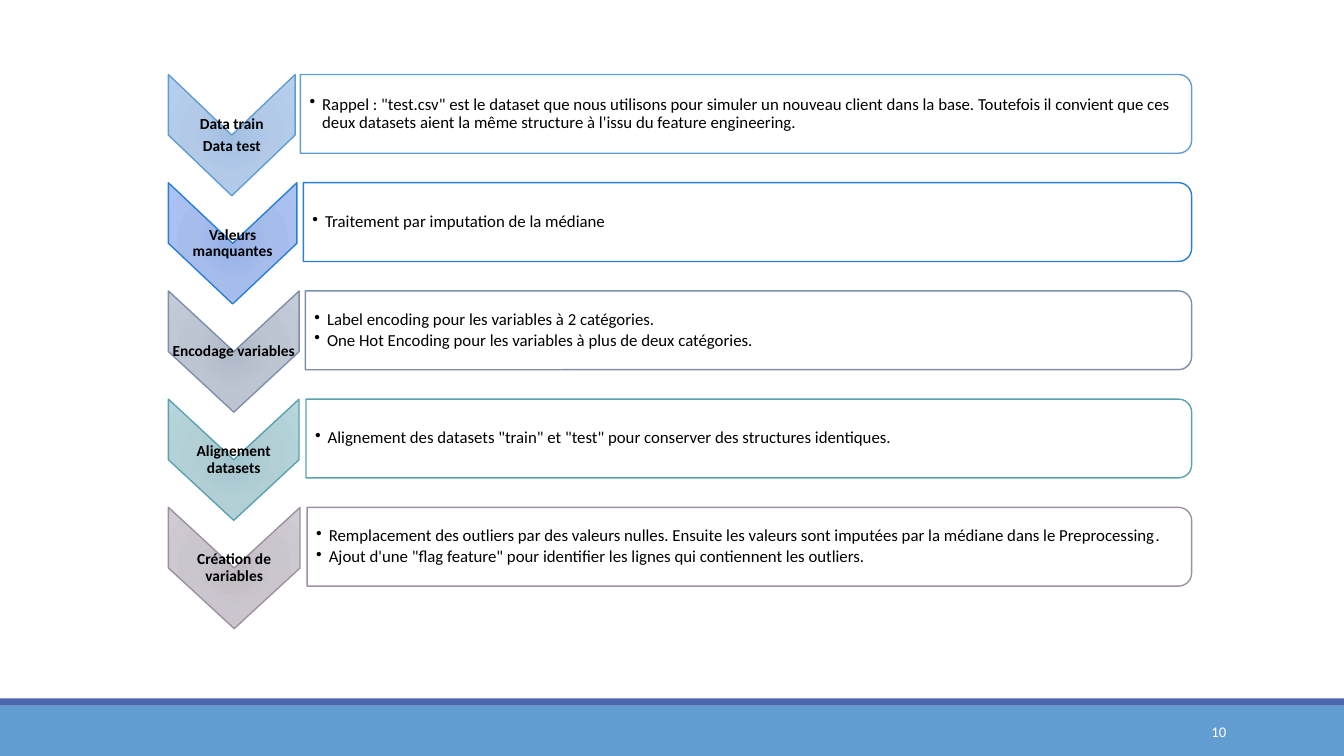
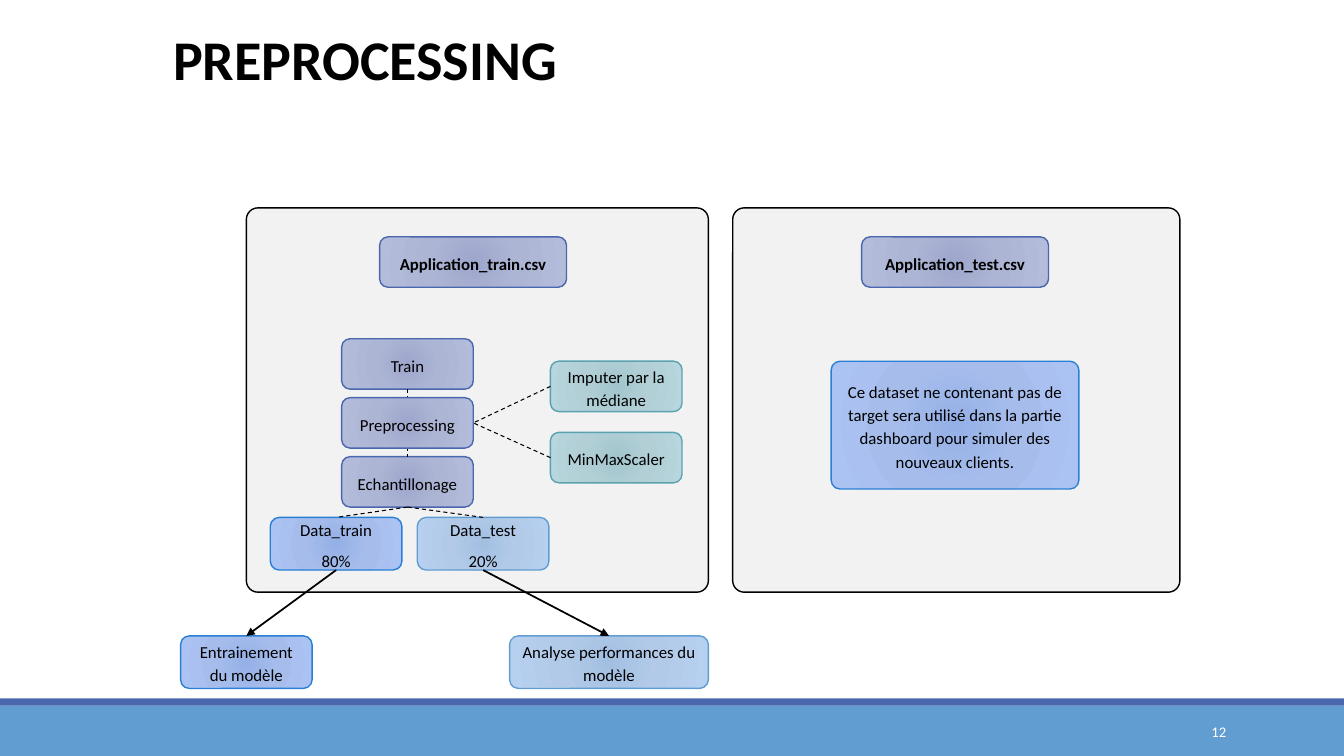
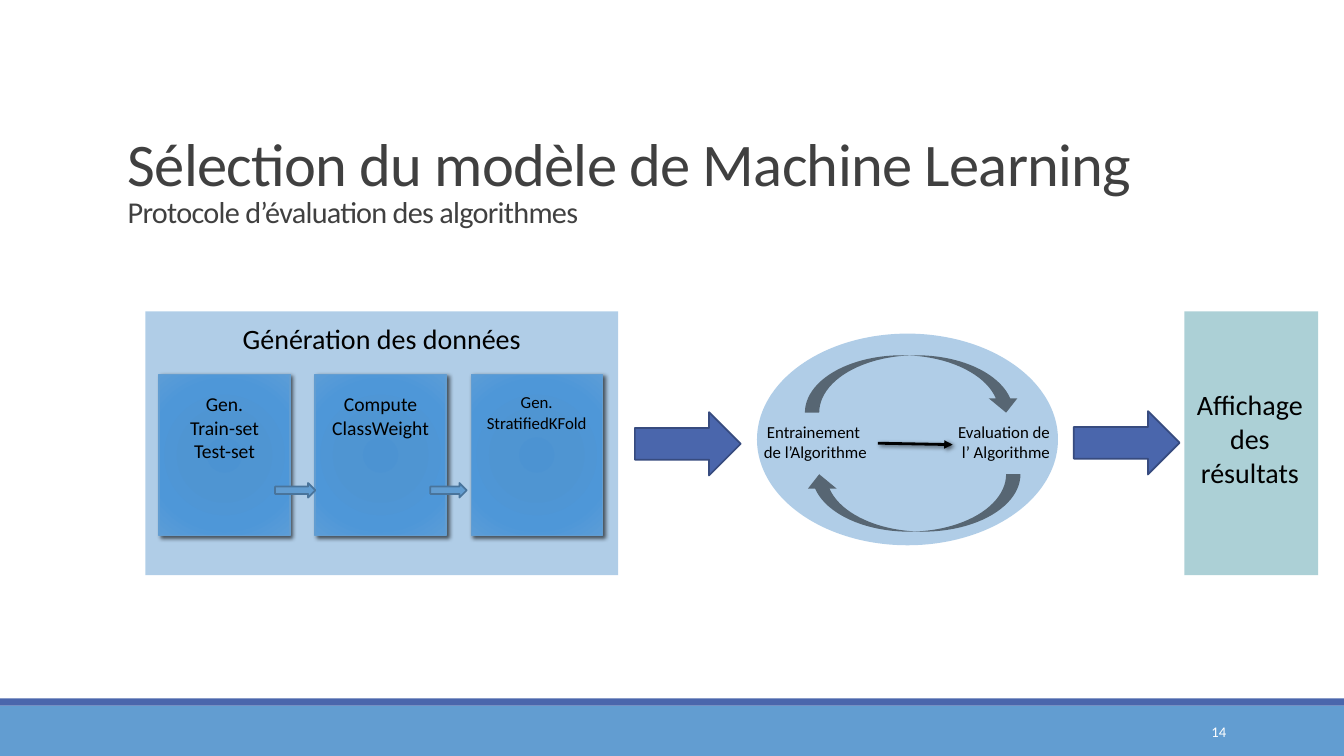
from copy import deepcopy
from dataclasses import dataclass
from typing import Any, NamedTuple, Optional, Sequence, Union

from lxml.etree import SubElement
from pptx import Presentation
from pptx.dml.color import RGBColor
from pptx.enum.dml import MSO_LINE_DASH_STYLE as Dash
from pptx.enum.shapes import MSO_AUTO_SHAPE_TYPE as Kind, MSO_CONNECTOR as Link
from pptx.enum.text import MSO_VERTICAL_ANCHOR as Anchor, PP_PARAGRAPH_ALIGNMENT as Align
from pptx.oxml.ns import qn
from pptx.util import Pt

BLACK = RGBColor(0x00, 0x00, 0x00)
WHITE = RGBColor(0xFF, 0xFF, 0xFF)
TITLE_GREY = RGBColor(0x40, 0x40, 0x40)
PANEL_GREY = RGBColor(0xF2, 0xF2, 0xF2)
SKY = RGBColor(0x62, 0x9D, 0xD1)
SKY_EDGE = RGBColor(0x49, 0x74, 0x9B)
AZURE = RGBColor(0x29, 0x7F, 0xD5)
SLATE = RGBColor(0x7F, 0x8F, 0xA9)
TEAL = RGBColor(0x5A, 0xA2, 0xAE)
MAUVE = RGBColor(0x9D, 0x90, 0xA0)
INDIGO = RGBColor(0x4A, 0x66, 0xAC)
INDIGO_EDGE = RGBColor(0x37, 0x4B, 0x7F)

FONT = "Calibri"
TOP, LEFT, BOTTOM, RIGHT = 0, 1, 2, 3


class Area(NamedTuple):
    left: float
    top: float
    width: float
    height: float


class Tone(NamedTuple):
    line: RGBColor
    stops: tuple[tuple[int, RGBColor], ...]


def soft_tone(line: RGBColor, inner: RGBColor, middle: RGBColor, outer: RGBColor) -> Tone:
    return Tone(line, ((0, inner), (45, middle), (100, outer)))


SKY_TONE = soft_tone(SKY, RGBColor(0xA2, 0xBF, 0xE2), RGBColor(0xB2, 0xCA, 0xE8), RGBColor(0xB6, 0xD0, 0xEF))
AZURE_TONE = soft_tone(AZURE, RGBColor(0x94, 0xB0, 0xE6), RGBColor(0xA6, 0xBD, 0xEC), RGBColor(0xAB, 0xC3, 0xF3))
SLATE_TONE = soft_tone(SLATE, RGBColor(0xB0, 0xB9, 0xC8), RGBColor(0xBD, 0xC5, 0xD2), RGBColor(0xC3, 0xCB, 0xD8))
TEAL_TONE = soft_tone(TEAL, RGBColor(0xA2, 0xC5, 0xCD), RGBColor(0xB1, 0xCF, 0xD5), RGBColor(0xB7, 0xD6, 0xDD))
MAUVE_TONE = soft_tone(MAUVE, RGBColor(0xC0, 0xB9, 0xC2), RGBColor(0xCB, 0xC5, 0xCD), RGBColor(0xD1, 0xCB, 0xD3))
INDIGO_TONE = soft_tone(INDIGO, RGBColor(0x9E, 0xA7, 0xCC), RGBColor(0xAD, 0xB5, 0xD5), RGBColor(0xB4, 0xBC, 0xDC))
CARD_TONE = Tone(SKY, ((0, RGBColor(0x4C, 0x93, 0xD2)), (34, RGBColor(0x4F, 0x95, 0xD2)),
                       (70, RGBColor(0x4E, 0x97, 0xD8)), (100, RGBColor(0x5C, 0x9D, 0xD7))))


@dataclass(frozen=True)
class Step:
    heading: tuple[str, ...]
    details: tuple[str, ...]
    tone: Tone
    chevron_width: float
    detail_left: float


@dataclass(frozen=True)
class Node:
    label: tuple[str, ...]
    area: Area
    tone: Tone
    after: float = 10
    bold: bool = False
    corner: Optional[float] = None


@dataclass(frozen=True)
class Card:
    label: tuple[str, ...]
    size: float


@dataclass(frozen=True)
class FlowArrow:
    area: Area
    fill: RGBColor
    edge: RGBColor


def set_values(target: Any, values: dict[str, Any]) -> None:
    for name, value in values.items():
        setattr(target, name, value)


def style_run(run: Any, size: float, color: RGBColor = BLACK, bold: bool = False, italic: bool = False) -> None:
    set_values(run.font, {"name": FONT, "size": Pt(size), "bold": bold, "italic": italic})
    run.font.color.rgb = color


def write(shape: Any, texts: Sequence[str], size: float, color: RGBColor = BLACK, bold: bool = False,
          layout: Optional[dict[str, Any]] = None, frame: Optional[dict[str, Any]] = None) -> Any:
    body = shape.text_frame
    set_values(body, {"word_wrap": True, "vertical_anchor": Anchor.TOP, **(frame or {})})
    for index, text in enumerate(texts):
        paragraph = body.paragraphs[0] if index == 0 else body.add_paragraph()
        paragraph.text = text
        set_values(paragraph, {"alignment": Align.CENTER, **(layout or {})})
        for run in paragraph.runs:
            style_run(run, size, color, bold)
        for line_break in paragraph._p.findall(qn("a:br")):
            line_break.append(deepcopy(paragraph.runs[0].font._element
                                       if hasattr(paragraph.runs[0].font, "_element")
                                       else paragraph.runs[0]._r.find(qn("a:rPr"))))
    return body


def add_text(slide: Any, area: Area) -> Any:
    return slide.shapes.add_textbox(*map(Pt, area))


def paint_gradient(shape: Any, tone: Tone) -> None:
    shape.fill.gradient()
    gradient = shape._element.spPr.find(qn("a:gradFill"))
    for child in list(gradient):
        gradient.remove(child)
    stops = SubElement(gradient, qn("a:gsLst"))
    for position, color in tone.stops:
        stop = SubElement(stops, qn("a:gs"), pos=str(position * 1000))
        SubElement(stop, qn("a:srgbClr"), val=str(color))
    circle = SubElement(gradient, qn("a:path"), {"path": "circle"})
    SubElement(circle, qn("a:fillToRect"), {side: "100000" for side in "ltrb"})


def add_shape(slide: Any, kind: Kind, area: Area, fill: Union[RGBColor, Tone], line: Optional[RGBColor] = None,
              width: float = 1, opacity: int = 100, corner: Optional[float] = None) -> Any:
    shape = slide.shapes.add_shape(kind, *map(Pt, area))
    shape.shadow.inherit = False
    if isinstance(fill, Tone):
        paint_gradient(shape, fill)
        line = fill.line
    else:
        shape.fill.solid()
        shape.fill.fore_color.rgb = fill
        if opacity < 100:
            color = shape._element.spPr.find(qn("a:solidFill"))[0]
            SubElement(color, qn("a:alpha"), val=str(opacity * 1000))
    if line is None:
        shape.line.fill.background()
    else:
        shape.line.color.rgb = line
        shape.line.width = Pt(width)
    if corner is not None:
        shape.adjustments[0] = corner
    return shape


def add_turned(slide: Any, kind: Kind, seen: Area, fill: Union[RGBColor, Tone], turn: int = 90, **options: Any) -> Any:
    shift = (seen.width - seen.height) / 2
    area = Area(seen.left + shift, seen.top - shift, seen.height, seen.width)
    shape = add_shape(slide, kind, area, fill, **options)
    shape.rotation = turn
    return shape


def cast_shadow(shape: Any) -> None:
    effects = shape._element.spPr.find(qn("a:effectLst"))
    shadow = SubElement(effects, qn("a:outerShdw"), blurRad=str(Pt(3)), dist=str(Pt(2)),
                        dir=str(45 * 60000), algn="tl", rotWithShape="0")
    color = SubElement(shadow, qn("a:srgbClr"), val=str(BLACK))
    SubElement(color, qn("a:alpha"), val="60000")


def add_line(slide: Any, start: tuple[float, float], end: tuple[float, float], width: float,
             arrow: bool = False) -> Any:
    line = slide.shapes.add_connector(Link.STRAIGHT, *map(Pt, (*start, *end)))
    line.line.color.rgb = BLACK
    line.line.width = Pt(width)
    if arrow:
        SubElement(line._element.spPr.find(qn("a:ln")), qn("a:tailEnd"), type="triangle")
    else:
        line.line.dash_style = Dash.DASH
    SubElement(line._element.spPr, qn("a:effectLst"))
    return line


def join(slide: Any, start: Any, start_side: int, end: Any, end_side: int, arrow: bool = False) -> None:
    line = add_line(slide, (0, 0), (0, 0), 1.25 if arrow else 0.75, arrow)
    line.begin_connect(start, start_side)
    line.end_connect(end, end_side)


def start_slide(deck: Any) -> Any:
    slide = deck.slides.add_slide(deck.slide_layouts[6])
    add_shape(slide, Kind.RECTANGLE, Area(0, 504, 960, 36), SKY)
    add_shape(slide, Kind.RECTANGLE, Area(0, 498.75, 960, 5.25), INDIGO)
    return slide


def number_slide(slide: Any, number: int) -> None:
    write(add_text(slide, Area(780, 508.3, 103, 28.8)), [str(number)], 10.5, WHITE,
          layout={"alignment": Align.RIGHT}, frame={"vertical_anchor": Anchor.MIDDLE})


STEPS = (
    Step(("Data train", "Data test"),
         ("Rappel : \"test.csv\" est le dataset que nous utilisons pour simuler un nouveau client dans la base. "
          "Toutefois il convient que ces deux datasets aient la même structure à l'issu du feature engineering.",),
         SKY_TONE, 90.5, 214.6),
    Step(("Valeurs manquantes",), ("Traitement par imputation de la médiane",), AZURE_TONE, 91.8, 216.7),
    Step(("Encodage variables",),
         ("Label encoding pour les variables à 2 catégories.",
          "One Hot Encoding pour les variables à plus de deux catégories."), SLATE_TONE, 93.4, 218.1),
    Step(("Alignement datasets",),
         ("Alignement des datasets \"train\" et \"test\" pour conserver des structures identiques.",),
         TEAL_TONE, 93.3, 218.6),
    Step(("Création de variables",),
         ("Remplacement des outliers par des valeurs nulles. Ensuite les valeurs sont imputées par la médiane "
          "dans le Preprocessing",
          "Ajout d'une \"flag feature\" pour identifier les lignes qui contiennent les outliers."),
         MAUVE_TONE, 94, 219.4),
)


def build_feature_steps(deck: Any) -> None:
    slide = start_slide(deck)
    tight = {f"margin_{side}": Pt(0.7) for side in ("left", "top", "right", "bottom")}
    tight["vertical_anchor"] = Anchor.MIDDLE
    for index, step in enumerate(STEPS):
        top = 53.2 + 77.3 * index
        chevron = Area(120.3, top, step.chevron_width, 86.6)
        detail = Area(step.detail_left, top, 851.2 - step.detail_left, 56.3)
        add_turned(slide, Kind.CHEVRON, chevron, step.tone)
        write(add_text(slide, chevron), step.heading, 11, bold=True, frame=tight,
              layout={"line_spacing": 0.9, "space_after": Pt(3.85)})
        add_turned(slide, Kind.ROUND_2_SAME_RECTANGLE, detail, WHITE, line=step.tone.line, opacity=90)
        inner = Area(detail.left, top + 2.8, detail.width - 2.8, 50.7)
        body = write(add_text(slide, inner), step.details, 12, frame={**tight, "margin_left": Pt(6.5)},
                     layout={"alignment": Align.LEFT, "line_spacing": 0.9, "space_after": Pt(1.8)})
        for paragraph in body.paragraphs:
            properties = paragraph._p.get_or_add_pPr()
            properties.set("marL", str(Pt(9)))
            properties.set("indent", str(Pt(-9)))
            SubElement(properties, qn("a:buChar"), char="•")
    full_stop = body.paragraphs[0].add_run()
    full_stop.text = "."
    style_run(full_stop, 12, italic=True)
    number_slide(slide, 10)


def add_node(slide: Any, node: Node) -> Any:
    shape = add_shape(slide, Kind.ROUNDED_RECTANGLE, node.area, node.tone, corner=node.corner)
    write(shape, node.label, 12, bold=node.bold, frame={"vertical_anchor": Anchor.MIDDLE},
          layout={"line_spacing": 1.15, "space_before": Pt(5), "space_after": Pt(node.after)})
    return shape


def build_preprocessing(deck: Any) -> None:
    slide = start_slide(deck)
    for panel in (Area(523.4, 148.5, 319.4, 274.5), Area(176, 148.5, 330, 274.5)):
        add_shape(slide, Kind.ROUNDED_RECTANGLE, panel, PANEL_GREY, BLACK, corner=0.03)
    write(add_text(slide, Area(116.6, 0, 789, 83.5)), ["PREPROCESSING"], 40, bold=True,
          layout={"alignment": Align.LEFT}, frame={"vertical_anchor": Anchor.MIDDLE})

    width, height, tall = 94, 36, 37.6
    stage_left, stage_top, stage_pitch = 244.1, 242, 42.1
    train, preprocessing, sampling = (
        Node((label,), Area(stage_left, stage_top + stage_pitch * row, width, height), INDIGO_TONE)
        for row, label in enumerate(("Train", "Preprocessing", "Echantillonage")))
    sampling_box = add_node(slide, sampling)
    train_box = add_node(slide, train)
    join(slide, train_box, BOTTOM, sampling_box, TOP)
    preprocessing_box = add_node(slide, preprocessing)

    data_train, data_test, imputer, scaler, training, analysis, *_ = [add_node(slide, node) for node in (
        Node(("Data_train", "80%"), Area(193.1, 369.6, width, tall), AZURE_TONE, 0),
        Node(("Data_test", "20%"), Area(298.1, 369.6, width, tall), SKY_TONE, 0),
        Node(("Imputer par la médiane",), Area(393.2, 258, width, height), TEAL_TONE),
        Node(("MinMaxScaler",), Area(393.2, 308.9, width, height), TEAL_TONE),
        Node(("Entrainement du modèle",), Area(129, 454.2, width, tall), AZURE_TONE, 0),
        Node(("Analyse performances du modèle",), Area(364, 454.2, 142, tall), SKY_TONE, 0),
        Node(("Application_train.csv",), Area(271.2, 169.2, 133.5, height), INDIGO_TONE, bold=True),
        Node(("Application_test.csv",), Area(615.5, 169.2, 133.5, height), INDIGO_TONE, bold=True),
        Node(("Ce dataset ne contenant pas de target sera utilisé dans la partie dashboard "
              "pour simuler des nouveaux clients.",), Area(593.7, 258, 177, 91.3), AZURE_TONE, corner=0.07),
    )]
    for sample, outcome in ((data_train, training), (data_test, analysis)):
        join(slide, sampling_box, BOTTOM, sample, TOP)
        join(slide, sample, BOTTOM, outcome, TOP, arrow=True)
    for transform in (imputer, scaler):
        join(slide, transform, LEFT, preprocessing_box, RIGHT)
    number_slide(slide, 12)


CARDS = (
    Card(("Gen.\nTrain-set", "Test-set"), 14),
    Card(("Compute\nClassWeight",), 14),
    Card(("Gen.\nStratifiedKFold",), 12),
)

FLOW_ARROWS = (
    FlowArrow(Area(453.5, 294.4, 75.6, 45.2), INDIGO, INDIGO_EDGE),
    FlowArrow(Area(767, 293.7, 75.6, 45.2), INDIGO, INDIGO_EDGE),
    FlowArrow(Area(196.5, 345, 28.8, 10.4), SKY, SKY_EDGE),
    FlowArrow(Area(307.4, 345, 26, 10.4), SKY, SKY_EDGE),
)


def build_model_selection(deck: Any) -> None:
    slide = start_slide(deck)
    title = write(add_text(slide, Area(84.2, 53.3, 792, 114.5)), ["Sélection du modèle de Machine Learning\n"], 43.2,
                  TITLE_GREY, layout={"alignment": Align.LEFT, "line_spacing": 0.85},
                  frame={"vertical_anchor": Anchor.BOTTOM})
    subtitle = title.paragraphs[0].add_run()
    subtitle.text = "Protocole d’évaluation des algorithmes"
    style_run(subtitle, 21.6, TITLE_GREY)
    for run in title.paragraphs[0].runs:
        run._r.get_or_add_rPr().set("spc", "-50")

    generation = add_shape(slide, Kind.RECTANGLE, Area(103.8, 222.4, 337.8, 188.4), SKY, opacity=50)
    write(generation, ["Génération des données"], 20, frame={"margin_top": Pt(7.2)})
    for index, card in enumerate(CARDS):
        box = add_shape(slide, Kind.RECTANGLE, Area(113.6 + 111.5 * index, 267.5, 93.6, 115), CARD_TONE)
        cast_shadow(box)
        write(box, card.label, card.size, frame={"margin_top": Pt(12.6)})

    add_shape(slide, Kind.OVAL, Area(540.7, 238.3, 215, 151.2), SKY, opacity=50)
    for label, area in (("Entrainement \nde l’Algorithme", Area(504.7, 297.4, 155.5, 36.4)),
                        ("Evaluation de \nl’ Algorithme", Area(655.2, 297.4, 126.7, 36.4))):
        write(add_text(slide, area), [label], 12)
    cast_shadow(add_line(slide, (627.1, 316.6), (680.5, 317.6), 2, arrow=True))
    for top, flip in ((253.8, "flipH"), (338.8, "flipV")):
        loop = add_turned(slide, Kind.CURVED_RIGHT_ARROW, Area(574.9, top, 154, 41), BLACK, 270, opacity=50)
        loop._element.spPr.find(qn("a:xfrm")).set(flip, "1")

    results = add_shape(slide, Kind.RECTANGLE, Area(846, 222.4, 95.6, 188.4), TEAL, opacity=50)
    write(results, ["Affichage\ndes\nrésultats"], 20,
          frame={"margin_top": Pt(54.7), "margin_left": Pt(5), "margin_right": Pt(7)})
    for arrow in FLOW_ARROWS:
        add_shape(slide, Kind.RIGHT_ARROW, arrow.area, arrow.fill, arrow.edge, 1.25)
    number_slide(slide, 14)


def main() -> None:
    deck = Presentation()
    set_values(deck, {"slide_width": Pt(960), "slide_height": Pt(540)})
    for build in (build_feature_steps, build_preprocessing, build_model_selection):
        build(deck)
    deck.save("out.pptx")


if __name__ == "__main__":
    main()
